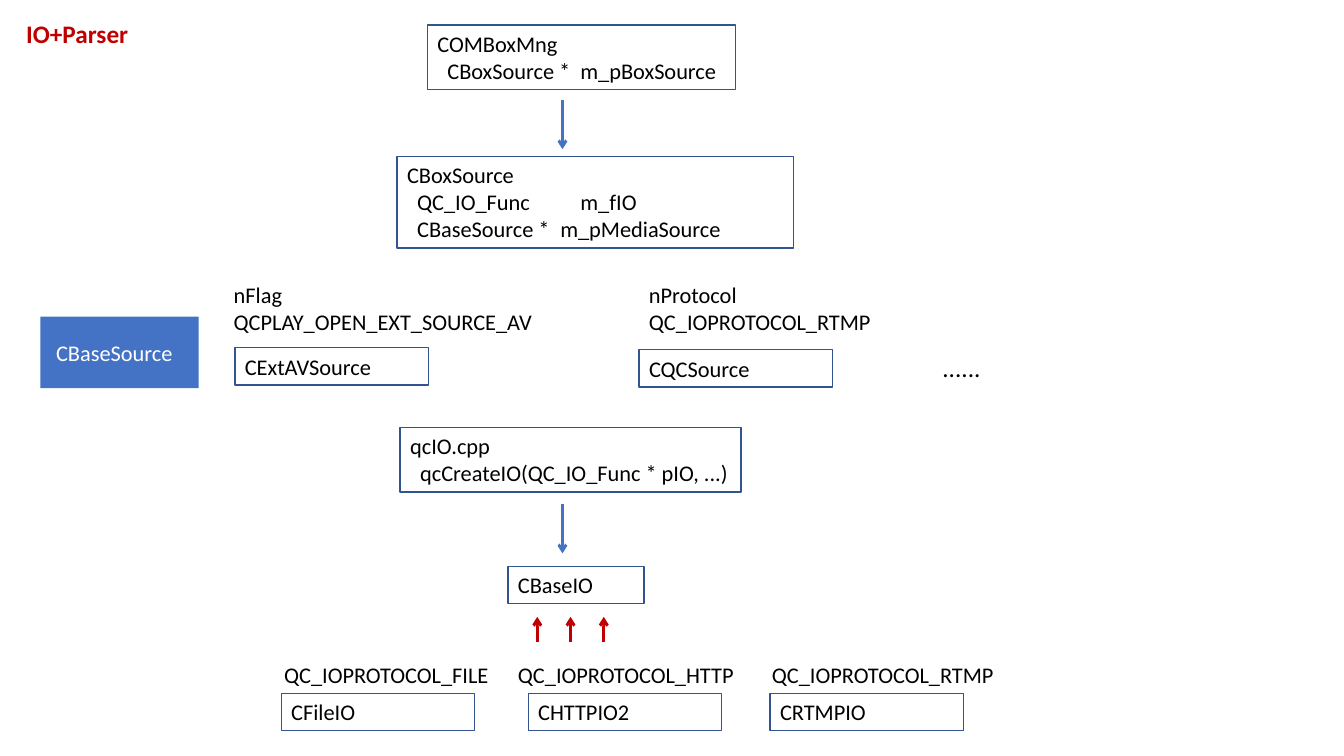
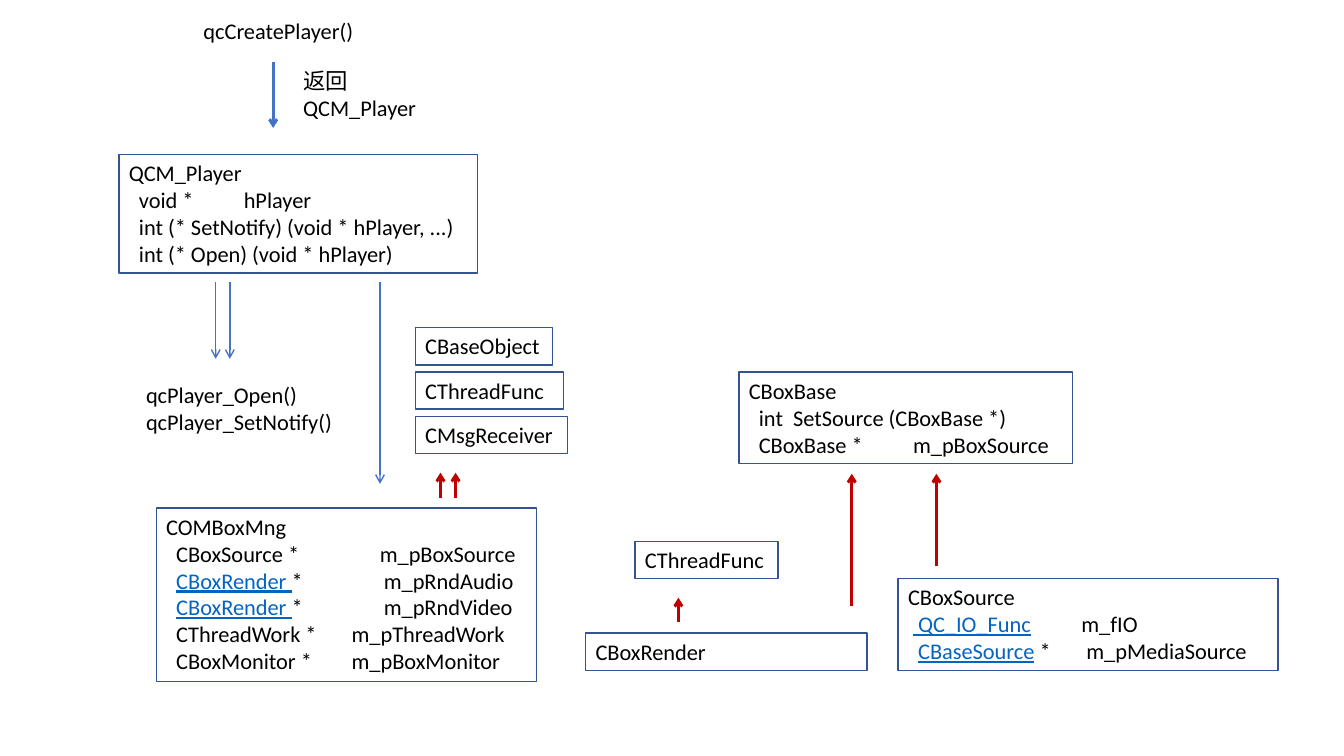
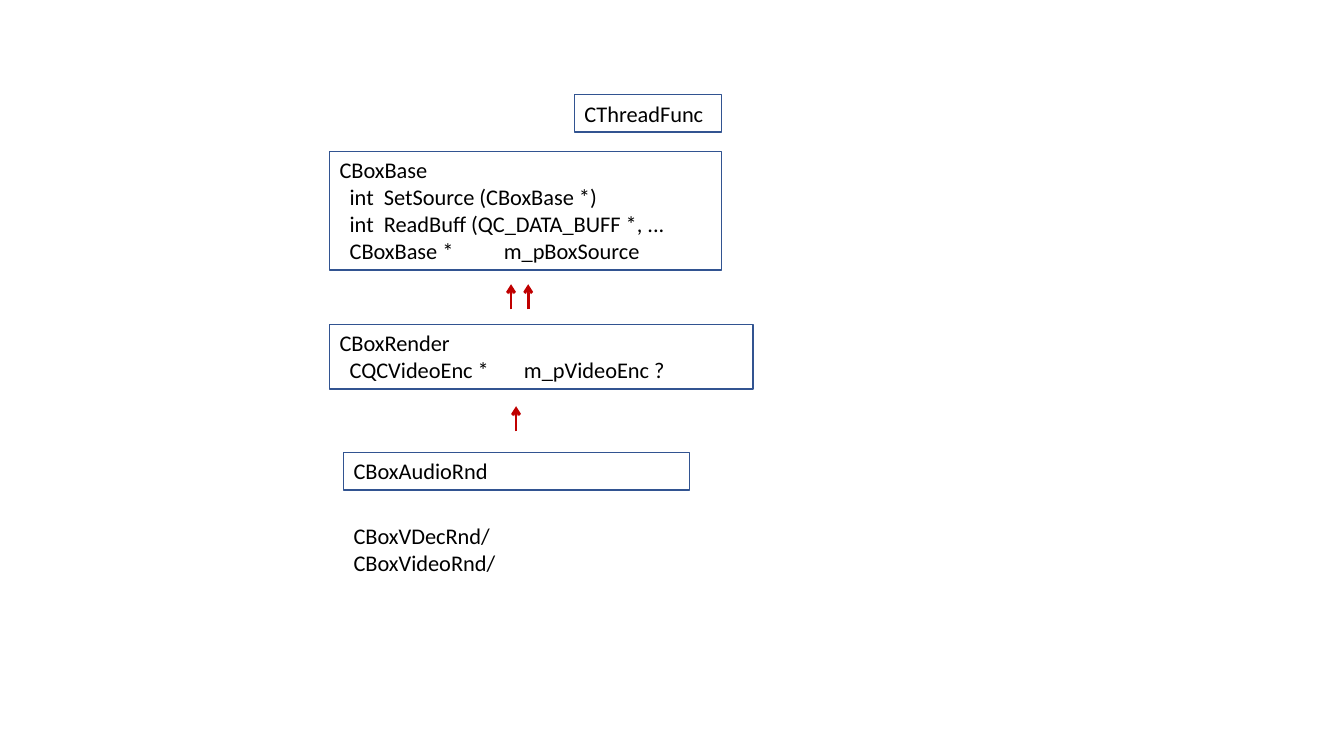
"""Three class diagrams of a media player: input layer, player and renderer."""
from dataclasses import dataclass

from lxml import etree
from pptx import Presentation
from pptx import util as u
from pptx.dml import color
from pptx.enum import shapes, text
from pptx.oxml import ns

CELL = u.Inches(0.1)
COLUMNS, ROWS = 133.33, 75
TITLE_ONLY, BLANK = 5, 6


@dataclass(frozen=True)
class Theme:
    """Colours, font and sizes shared by all slides."""
    font: str = "Calibri"
    body: int = 16
    large: int = 18
    ink: str = "000000"
    paper: str = "FFFFFF"
    link: str = "0563C1"
    outline: str = "325491"
    blue: str = "4472C4"
    red: str = "C00000"
    line_rows: float = 2.7
    inset_rows: float = 1


THEME = Theme()


def cells(*counts):
    """Turn grid counts into lengths."""
    return [round(count * CELL) for count in counts]


def rgb(value):
    """Return a colour object for a hex value."""
    return color.RGBColor.from_string(value)


def text_height(lines):
    """Return the rows that a box needs for its lines."""
    return THEME.inset_rows + THEME.line_rows * len(lines)


def add_tab(paragraph, column):
    """Give a paragraph one left tab stop."""
    properties = paragraph._p.get_or_add_pPr()
    stops = etree.SubElement(properties, ns.qn("a:tabLst"))
    etree.SubElement(stops, ns.qn("a:tab"), pos=str(cells(column)[0]), algn="l")


def write_text(shape, lines, size=THEME.body, ink=THEME.ink, bold=False,
               align=text.PP_ALIGN.LEFT, anchor=text.MSO_ANCHOR.TOP,
               fit=text.MSO_AUTO_SIZE.SHAPE_TO_FIT_TEXT):
    """Write lines, each text or (text, tab column), with |links| between bars."""
    frame = shape.text_frame
    frame.word_wrap = True
    frame.auto_size = fit
    frame.vertical_anchor = anchor
    for index, line in enumerate(lines):
        content, tab = (line, None) if isinstance(line, str) else line
        paragraph = frame.paragraphs[0] if index == 0 else frame.add_paragraph()
        paragraph.alignment = align
        if tab:
            add_tab(paragraph, tab)
        for part, words in enumerate(content.split("|")):
            linked = part % 2 == 1
            run = paragraph.add_run()
            run.text = words
            run.font.name = THEME.font
            run.font.size = u.Pt(size)
            run.font.bold = bold
            run.font.underline = linked
            run.font.color.rgb = rgb(THEME.link if linked else ink)


def add_title(slide, left, top, width, height, title):
    """Place and format the title placeholder."""
    shape = slide.shapes.title
    shape.left, shape.top, shape.width, shape.height = cells(left, top, width, height)
    write_text(shape, [title], size=THEME.large, ink=THEME.red, bold=True,
               fit=text.MSO_AUTO_SIZE.NONE)


def add_label(slide, left, top, width, *lines, **text_format):
    """Add plain text without an outline."""
    bounds = cells(left, top, width, text_height(lines))
    write_text(slide.shapes.add_textbox(*bounds), lines, **text_format)


def add_rectangle(slide, left, top, width, height):
    """Add a rectangle without a shadow."""
    shape = slide.shapes.add_shape(shapes.MSO_SHAPE.RECTANGLE,
                                   *cells(left, top, width, height))
    shape.shadow.inherit = False
    return shape


def add_class_box(slide, left, top, width, *lines):
    """Add an outlined class box as tall as its lines."""
    shape = add_rectangle(slide, left, top, width, text_height(lines))
    shape.fill.background()
    shape.line.color.rgb = rgb(THEME.outline)
    shape.line.width = u.Pt(1)
    write_text(shape, lines)


def add_base_block(slide, left, top, width, height, name):
    """Add a filled block whose name sits slightly left of centre."""
    shape = add_rectangle(slide, left, top, width, height)
    shape.fill.solid()
    shape.fill.fore_color.rgb = rgb(THEME.blue)
    shape.line.fill.background()
    shape.text_frame.margin_right = u.Inches(0.2)
    write_text(shape, [name], ink=THEME.paper, align=text.PP_ALIGN.CENTER,
               anchor=text.MSO_ANCHOR.MIDDLE, fit=text.MSO_AUTO_SIZE.NONE)


def add_arrows(slide, columns, start, end, ink=THEME.red, weight=2):
    """Add one vertical arrow in each of the columns."""
    for column in columns:
        connector = slide.shapes.add_connector(
            shapes.MSO_CONNECTOR.STRAIGHT, *cells(column, start, column, end))
        connector.line.color.rgb = rgb(ink)
        connector.line.width = u.Pt(weight)
        properties = connector._element.spPr
        etree.SubElement(properties.find(ns.qn("a:ln")), ns.qn("a:tailEnd"), type="arrow")
        etree.SubElement(properties, ns.qn("a:effectLst"))


def build_input_slide(presentation):
    """Show the input and parser classes."""
    slide = presentation.slides.add_slide(presentation.slide_layouts[TITLE_ONLY])
    add_title(slide, 1.6, 1.3, 20, 4, "IO+Parser")

    add_class_box(slide, 42.4, 2.5, 30.6, "COMBoxMng",
                  ("  CBoxSource *\tm_pBoxSource", 14.2))
    add_arrows(slide, [55.8], 9.9, 14.8, THEME.blue)
    add_class_box(slide, 39.4, 15.5, 39.3, "CBoxSource",
                  ("  QC_IO_Func\tm_fIO", 17.2),
                  ("  CBaseSource *\tm_pMediaSource", 15.2))

    add_base_block(slide, 4, 31.4, 15.7, 7.1, "CBaseSource")
    add_label(slide, 22.2, 27.4, 32.2, "nFlag", "QCPLAY_OPEN_EXT_SOURCE_AV")
    add_class_box(slide, 23.3, 34.5, 19.2, "CExtAVSource")
    add_label(slide, 63.4, 27.4, 24.3, "nProtocol", "QC_IOPROTOCOL_RTMP")
    add_class_box(slide, 63.4, 34.7, 19.2, "CQCSource")
    add_label(slide, 92.5, 34.5, 12.9, "......", size=THEME.large)

    add_class_box(slide, 39.7, 42.4, 33.8, "qcIO.cpp",
                  "  qcCreateIO(QC_IO_Func * pIO, ...)")
    add_arrows(slide, [55.8], 50, 54.9, THEME.blue)
    add_class_box(slide, 50.4, 56.2, 13.5, "CBaseIO")
    add_arrows(slide, [53.3, 56.6, 59.9], 63.7, 61.2)
    for label_left, box_left, protocol, name in (
            (27.2, 27.9, "QC_IOPROTOCOL_FILE", "CFileIO"),
            (50.4, 52.4, "QC_IOPROTOCOL_HTTP", "CHTTPIO2"),
            (75.6, 76.4, "QC_IOPROTOCOL_RTMP", "CRTMPIO")):
        add_label(slide, label_left, 65.1, 25.2, protocol)
        add_class_box(slide, box_left, 68.8, 19.2, name)


def build_player_slide(presentation):
    """Show how the player is created and which classes it holds."""
    slide = presentation.slides.add_slide(presentation.slide_layouts[BLANK])
    add_label(slide, 19.2, 1.2, 17.7, "qcCreatePlayer()")
    add_arrows(slide, [27.1], 6.2, 12.7, THEME.blue)
    add_label(slide, 29.1, 6.2, 13.3, "返回", "QCM_Player")
    add_class_box(slide, 11.8, 15.3, 35.6, "QCM_Player",
                  ("  void *\thPlayer", 11.4),
                  "  int (* SetNotify) (void * hPlayer, ...)",
                  "  int (* Open) (void * hPlayer)")
    add_arrows(slide, [21.4, 22.8], 28, 35.6, THEME.blue, 1)
    add_arrows(slide, [37.7], 28, 48, THEME.blue, 1)
    add_label(slide, 13.5, 37.3, 21.2, "qcPlayer_Open()", "qcPlayer_SetNotify()")

    for index, (name, width) in enumerate((("CBaseObject", 13.6),
                                           ("CThreadFunc", 14.7),
                                           ("CMsgReceiver", 15.1))):
        add_class_box(slide, 41.2, 32.5 + 4.4 * index, width, name)
    add_arrows(slide, [43.7, 45.2], 49.4, 46.9)
    add_class_box(slide, 15.5, 50.4, 37.7, "COMBoxMng",
                  ("  CBoxSource *\tm_pBoxSource", 21.2),
                  ("  |CBoxRender |*\tm_pRndAudio", 21.6),
                  ("  |CBoxRender |*\tm_pRndVideo", 21.6),
                  ("  CThreadWork *\tm_pThreadWork", 18.4),
                  ("  CBoxMonitor *\tm_pBoxMonitor", 18.4))

    add_class_box(slide, 73.3, 36.9, 33.1, "CBoxBase",
                  ("  int\tSetSource (CBoxBase *)", 4.4),
                  ("  CBoxBase *\tm_pBoxSource", 16.3))
    add_arrows(slide, [84.5], 60.1, 47)
    add_arrows(slide, [92.9], 56.2, 47)
    add_class_box(slide, 63, 53.7, 14.2, "CThreadFunc")
    add_arrows(slide, [67.3], 61.7, 59.3)
    add_class_box(slide, 58.1, 62.8, 27.9, "CBoxRender")
    add_class_box(slide, 89.1, 57.4, 37.7, "CBoxSource",
                  (" | QC_IO_Func|\tm_fIO", 17.2),
                  ("  |CBaseSource| *\tm_pMediaSource", 17.7))


def build_render_slide(presentation):
    """Show the renderer classes and their bases."""
    slide = presentation.slides.add_slide(presentation.slide_layouts[BLANK])
    add_class_box(slide, 57, 9.4, 14.6, "CThreadFunc")
    add_class_box(slide, 32.7, 15, 38.9, "CBoxBase",
                  ("  int\tSetSource (CBoxBase *)", 4.4),
                  ("  int\tReadBuff (QC_DATA_BUFF *, ...", 4.4),
                  ("  CBoxBase *\tm_pBoxSource", 16.3))
    add_arrows(slide, [50.7, 52.4], 30.7, 28.2)
    add_class_box(slide, 32.7, 32.2, 42, "CBoxRender",
                  ("  CQCVideoEnc *\tm_pVideoEnc ?", 18.3))
    add_arrows(slide, [51.2], 42.8, 40.3)
    add_class_box(slide, 34.1, 44.9, 34.3, "CBoxAudioRnd")
    add_label(slide, 34.1, 51.3, 16.6, "CBoxVDecRnd/", "CBoxVideoRnd/")


def main():
    """Build and save the presentation."""
    presentation = Presentation()
    presentation.slide_width, presentation.slide_height = cells(COLUMNS, ROWS)
    build_input_slide(presentation)
    build_player_slide(presentation)
    build_render_slide(presentation)
    presentation.save("out.pptx")


if __name__ == "__main__":
    main()
